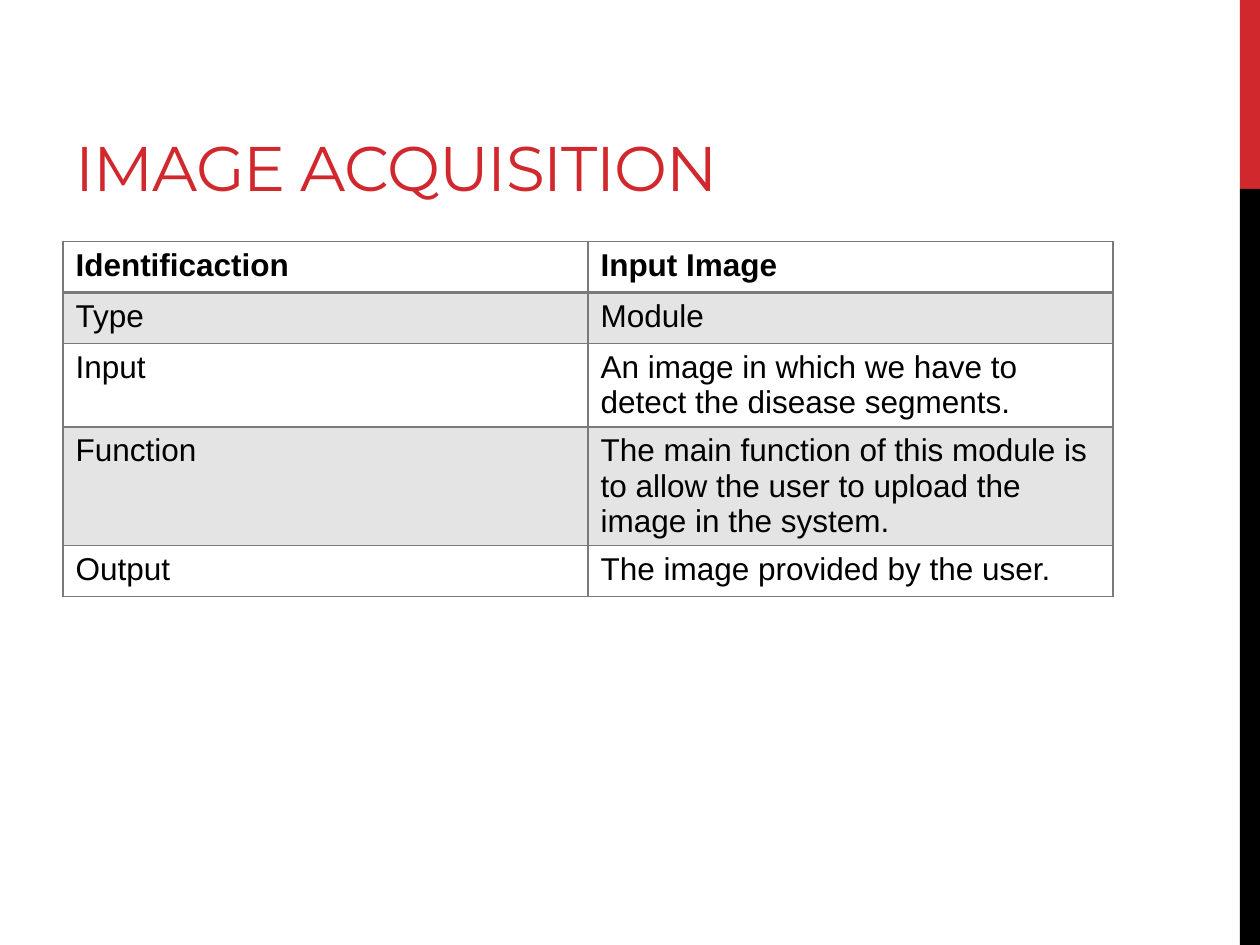
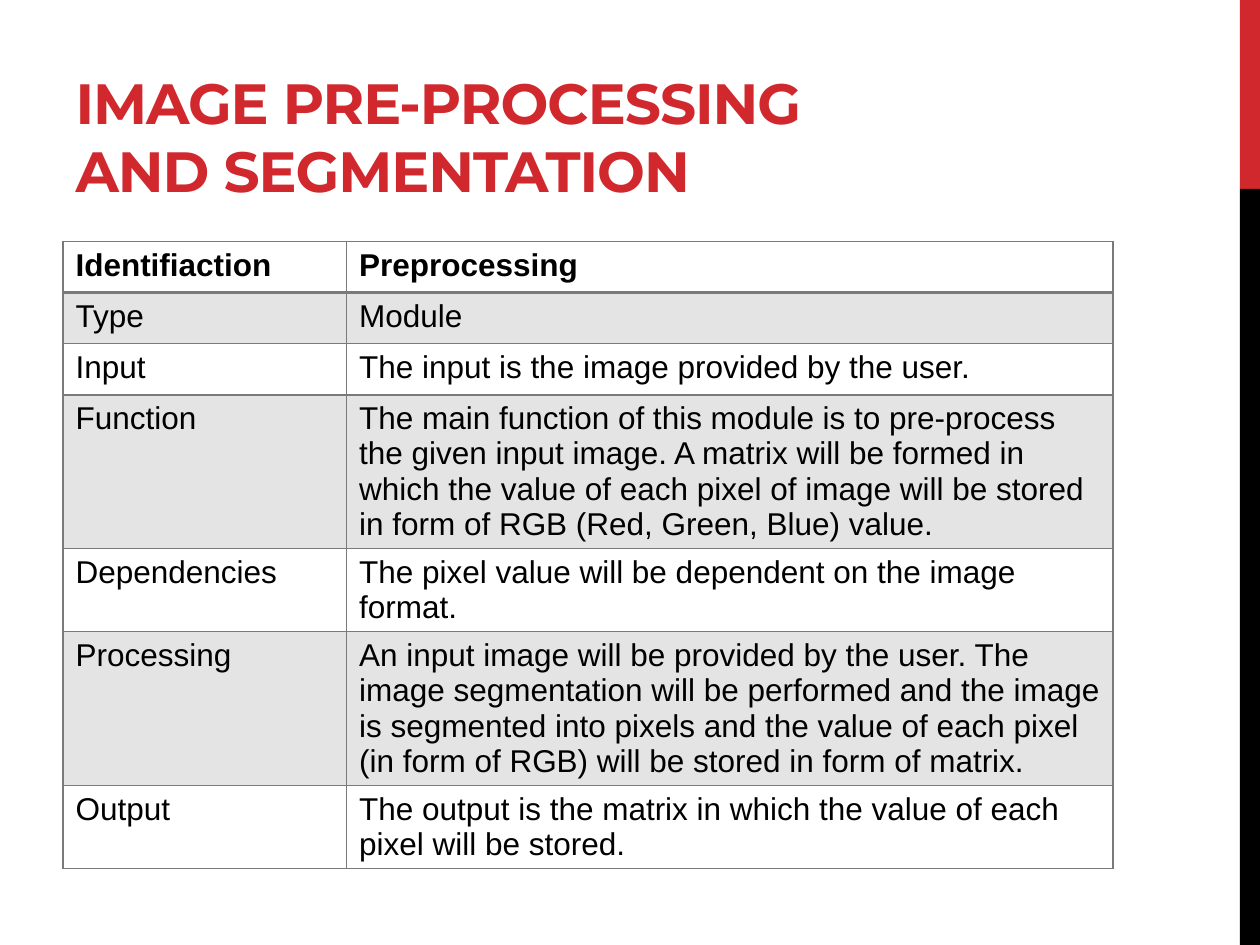
from pptx import Presentation
from pptx.dml.color import RGBColor
from pptx.enum.shapes import MSO_SHAPE
from pptx.enum.text import MSO_ANCHOR, MSO_AUTO_SIZE, PP_ALIGN
from pptx.oxml import parse_xml
from pptx.oxml.ns import nsdecls
from pptx.util import Pt

RED, BLACK, GREY, SHADE = "D1282E", "000000", "7A7A7A", "E4E4E4"
ROW_H = 29.2
BANDS = [(0, 108, RED), (108, 432, BLACK)]


def rgb(value):
    return RGBColor.from_string(value)


def add_borders(cell, widths):
    tcPr = cell._tc.get_or_add_tcPr()
    for side, width in widths.items():
        tcPr.append(parse_xml(
            f'<a:ln{side} {nsdecls("a")} w="{Pt(width)}"><a:solidFill>'
            f'<a:srgbClr val="{GREY}"/></a:solidFill></a:ln{side}>'))


slides = [
    ("IMAGE ACQUISITION", 36, False, (300, 300), [
        ("Identificaction", "Input Image"),
        ("Type", "Module"),
        ("Input", "An image in which we have to detect the disease segments."),
        ("Function", "The main function of this module is to allow the user to "
                     "upload the image in the system."),
        ("Output", "The image provided by the user."),
    ]),
    ("IMAGE PRE-PROCESSING AND SEGMENTATION", 32.4, True, (162, 438), [
        ("Identifiaction", "Preprocessing"),
        ("Type", "Module"),
        ("Input", "The input is the image provided by the user."),
        ("Function", "The main function of this module is to pre-process the given "
                     "input image. A matrix will be formed in which the value of each "
                     "pixel of image will be stored in form of RGB (Red, Green, Blue) "
                     "value."),
        ("Dependencies", "The pixel value will be dependent on the image format."),
        ("Processing", "An input image will be provided by the user. The image "
                       "segmentation will be performed and the image is segmented "
                       "into pixels and the value of each pixel (in form of RGB) "
                       "will be stored in form of matrix."),
        ("Output", "The output is the matrix in which the value of each pixel will "
                   "be stored."),
    ]),
]

prs = Presentation()
prs.slide_width, prs.slide_height = Pt(720), Pt(540)

for title, size, bold, col_widths, rows in slides:
    s = prs.slides.add_slide(prs.slide_layouts[5])

    for top, height, color in BANDS:
        sp = s.shapes.add_shape(MSO_SHAPE.RECTANGLE, Pt(708.5), Pt(top), Pt(11.5), Pt(height))
        sp.shadow.inherit = False
        sp.fill.solid()
        sp.fill.fore_color.rgb = rgb(color)
        sp.line.fill.background()

    sp = s.shapes.title
    sp.left, sp.top, sp.width, sp.height = Pt(36), Pt(12), Pt(456), Pt(108)
    tf = sp.text_frame
    tf.word_wrap = True
    tf.auto_size = MSO_AUTO_SIZE.NONE
    tf.vertical_anchor = MSO_ANCHOR.BOTTOM
    p = tf.paragraphs[0]
    p.alignment = PP_ALIGN.LEFT
    r = p.add_run()
    r.text = title
    r.font.name, r.font.size, r.font.bold = "Montserrat", Pt(size), bold
    r.font.color.rgb = rgb(RED)
    r._r.get_or_add_rPr().set("spc", "-60")

    table = s.shapes.add_table(len(rows), 2, Pt(36), Pt(138), Pt(600),
                               Pt(ROW_H * len(rows))).table
    table.first_row = table.horz_banding = False
    for column, width in zip(table.columns, col_widths):
        column.width = Pt(width)
    for i, row in enumerate(rows):
        table.rows[i].height = Pt(ROW_H)
        for j, text in enumerate(row):
            cell = table.cell(i, j)
            add_borders(cell, {"L": 1, "R": 1, "T": 2 if i == 1 else 1, "B": 2 if i == 0 else 1})
            if i % 2:
                cell.fill.solid()
                cell.fill.fore_color.rgb = rgb(SHADE)
            else:
                cell.fill.background()
            cell.text = text
            p = cell.text_frame.paragraphs[0]
            p.font.name, p.font.size, p.font.bold = "Arial", Pt(18), i == 0
            p.font.color.rgb = rgb(BLACK)

prs.save("out.pptx")
